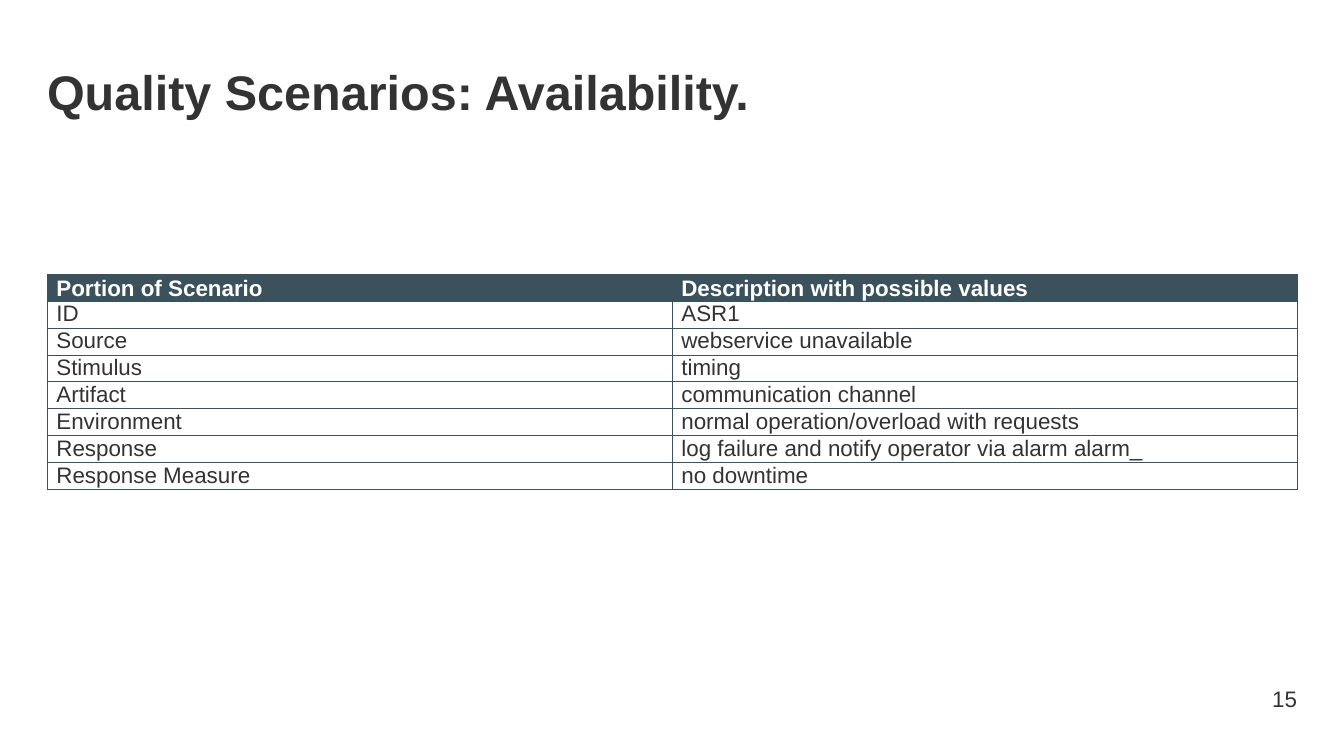
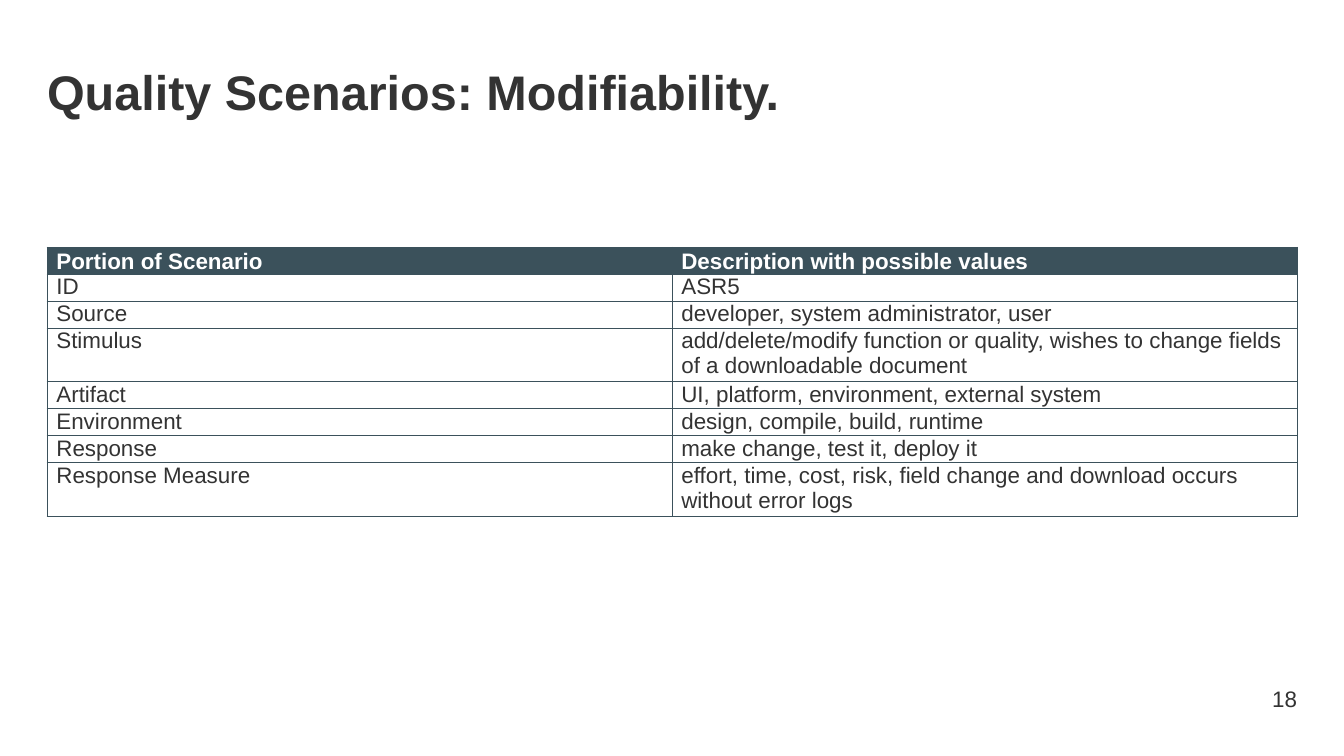
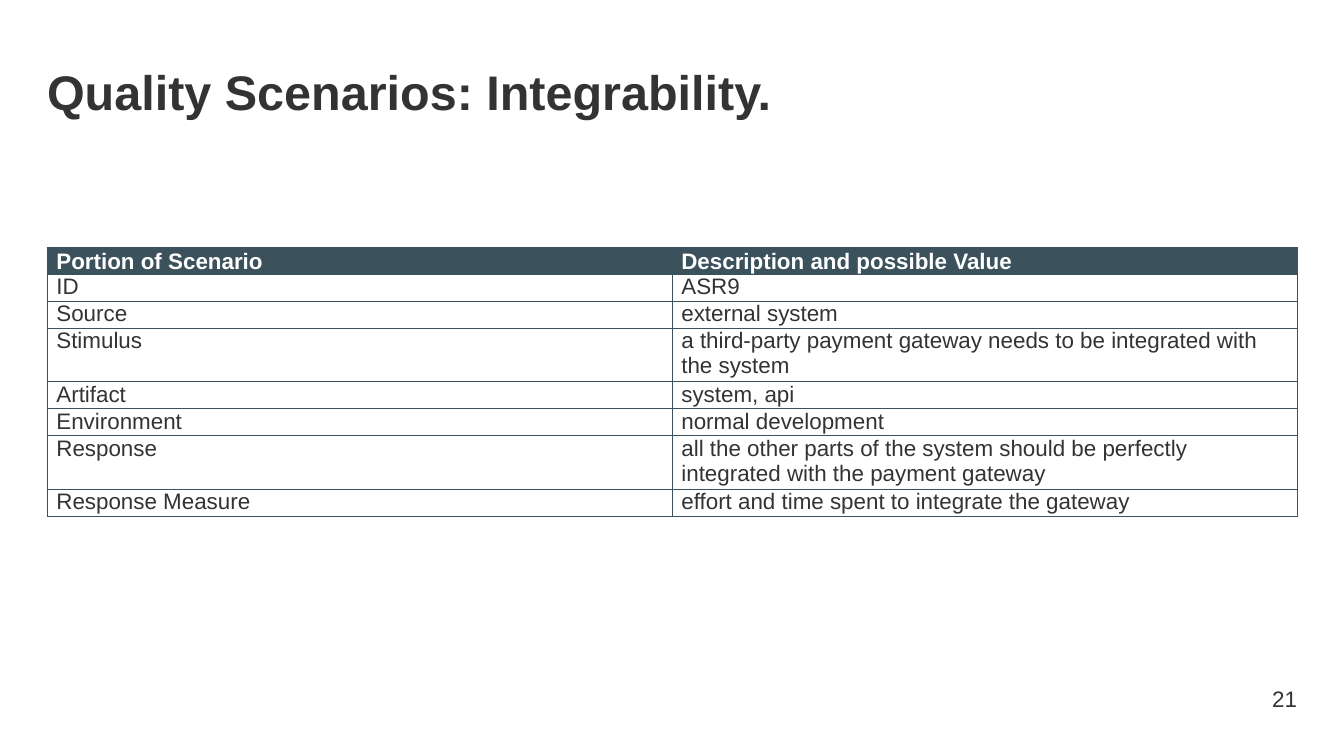
from lxml.etree import SubElement
from pptx import Presentation
from pptx.dml.color import RGBColor
from pptx.enum.text import MSO_ANCHOR, MSO_AUTO_SIZE, PP_ALIGN
from pptx.oxml.ns import qn
from pptx.util import Inches, Pt

PORTIONS = ["ID", "Source", "Stimulus", "Artifact", "Environment",
            "Response", "Response Measure"]

SCENARIOS = [
    {
        "quality": "Availability",
        "number": 15,
        "heading": "Description with possible values",
        "values": [
            "ASR1",
            "webservice unavailable",
            "timing",
            "communication channel",
            "normal operation/overload with requests",
            "log failure and notify operator via alarm alarm_",
            "no downtime",
        ],
        "wrapped_rows": 0,
    },
    {
        "quality": "Modifiability",
        "number": 18,
        "heading": "Description with possible values",
        "values": [
            "ASR5",
            "developer, system administrator, user",
            "add/delete/modify function or quality, wishes to change fields "
            "of a downloadable document",
            "UI, platform, environment, external system",
            "design, compile, build, runtime",
            "make change, test it, deploy it",
            "effort, time, cost, risk, field change and download occurs "
            "without error logs",
        ],
        "wrapped_rows": 2,
    },
    {
        "quality": "Integrability",
        "number": 21,
        "heading": "Description and possible Value",
        "values": [
            "ASR9",
            "external system",
            "a third-party payment gateway needs to be integrated with the system",
            "system, api",
            "normal development",
            "all the other parts of the system should be perfectly integrated "
            "with the payment gateway",
            "effort and time spent to integrate the gateway",
        ],
        "wrapped_rows": 2,
    },
]

FONT = "Arial"
INK, SLATE, WHITE = "333333", "3B515B", "FFFFFF"
SLIDE_WIDTH = Inches(10)
SLIDE_HEIGHT = SLIDE_WIDTH * 9 // 16
MARGIN, CONTENT_WIDTH = 0.35, 9.29
COLUMN_WIDTH = 4.65
TABLE_MIDDLE = 2.84
LINE_HEIGHT = 0.2


def rgb(color):
    return RGBColor.from_string(color)


def style_runs(paragraph, size, color, bold=False):
    for run in paragraph.runs:
        run.font.name = FONT
        run.font.size = Pt(size)
        run.font.bold = bold
        run.font.color.rgb = rgb(color)


def set_insets(target, left, top, right, bottom):
    """Set the inner margins of a text frame or a table cell."""
    target.margin_left, target.margin_top = Inches(left), Inches(top)
    target.margin_right, target.margin_bottom = Inches(right), Inches(bottom)


def add_title(slide, quality):
    title = slide.shapes.title
    title.left, title.top = Inches(MARGIN), Inches(0.37)
    title.width, title.height = Inches(CONTENT_WIDTH), Inches(0.63)
    frame = title.text_frame
    frame.text = f"Quality Scenarios: {quality}."
    frame.auto_size = MSO_AUTO_SIZE.NONE
    frame.vertical_anchor = MSO_ANCHOR.TOP
    set_insets(frame, 0, 0.05, 0.1, 0.05)
    heading = frame.paragraphs[0]
    heading.alignment = PP_ALIGN.LEFT
    heading.line_spacing = 1.1
    style_runs(heading, 26, INK, bold=True)


def add_page_number(slide, number):
    frame = slide.shapes.add_textbox(
        Inches(8.93), Inches(5.05), Inches(0.72), Inches(0.3)).text_frame
    frame.text = str(number)
    frame.word_wrap = True
    frame.vertical_anchor = MSO_ANCHOR.MIDDLE
    set_insets(frame, 0.1, 0.05, 0, 0.05)
    frame.paragraphs[0].alignment = PP_ALIGN.RIGHT
    style_runs(frame.paragraphs[0], 12, INK)


def add_borders(cell, color, width):
    properties = cell._tc.get_or_add_tcPr()
    for side in ("a:lnL", "a:lnR", "a:lnT", "a:lnB"):
        line = SubElement(properties, qn(side), w=str(Pt(width)))
        fill = SubElement(line, qn("a:solidFill"))
        SubElement(fill, qn("a:srgbClr"), val=color)


def fill_cell(cell, text, is_header):
    cell.text = text
    set_insets(cell, 0.07, 0, 0.07, 0)
    cell.vertical_anchor = MSO_ANCHOR.BOTTOM if is_header else MSO_ANCHOR.TOP
    add_borders(cell, SLATE, 0.5)
    if is_header:
        cell.fill.solid()
        cell.fill.fore_color.rgb = rgb(SLATE)
    else:
        cell.fill.background()
    paragraph = cell.text_frame.paragraphs[0]
    paragraph.space_after = Pt(1.8 if is_header else 10)
    style_runs(paragraph, 12, WHITE if is_header else INK, bold=is_header)


def add_scenario_table(slide, scenario):
    """Add the table, centred on TABLE_MIDDLE, with rows that grow to fit."""
    rows = [("Portion of Scenario", scenario["heading"]),
            *zip(PORTIONS, scenario["values"])]
    height = LINE_HEIGHT * (len(rows) + scenario["wrapped_rows"])
    graphic_frame = slide.shapes.add_table(
        len(rows), 2, Inches(MARGIN), Inches(TABLE_MIDDLE - height / 2),
        Inches(CONTENT_WIDTH), Inches(height))
    table = graphic_frame.table
    table.horz_banding = False
    for column in table.columns:
        column.width = Inches(COLUMN_WIDTH)
    for r, row in enumerate(rows):
        table.rows[r].height = 0
        for c, text in enumerate(row):
            fill_cell(table.cell(r, c), text, is_header=r == 0)
    graphic_frame.height = Inches(height)


def main():
    deck = Presentation()
    deck.slide_width, deck.slide_height = SLIDE_WIDTH, SLIDE_HEIGHT
    title_only = deck.slide_layouts[5]
    for scenario in SCENARIOS:
        slide = deck.slides.add_slide(title_only)
        add_page_number(slide, scenario["number"])
        add_title(slide, scenario["quality"])
        add_scenario_table(slide, scenario)
    deck.save("out.pptx")


if __name__ == "__main__":
    main()
